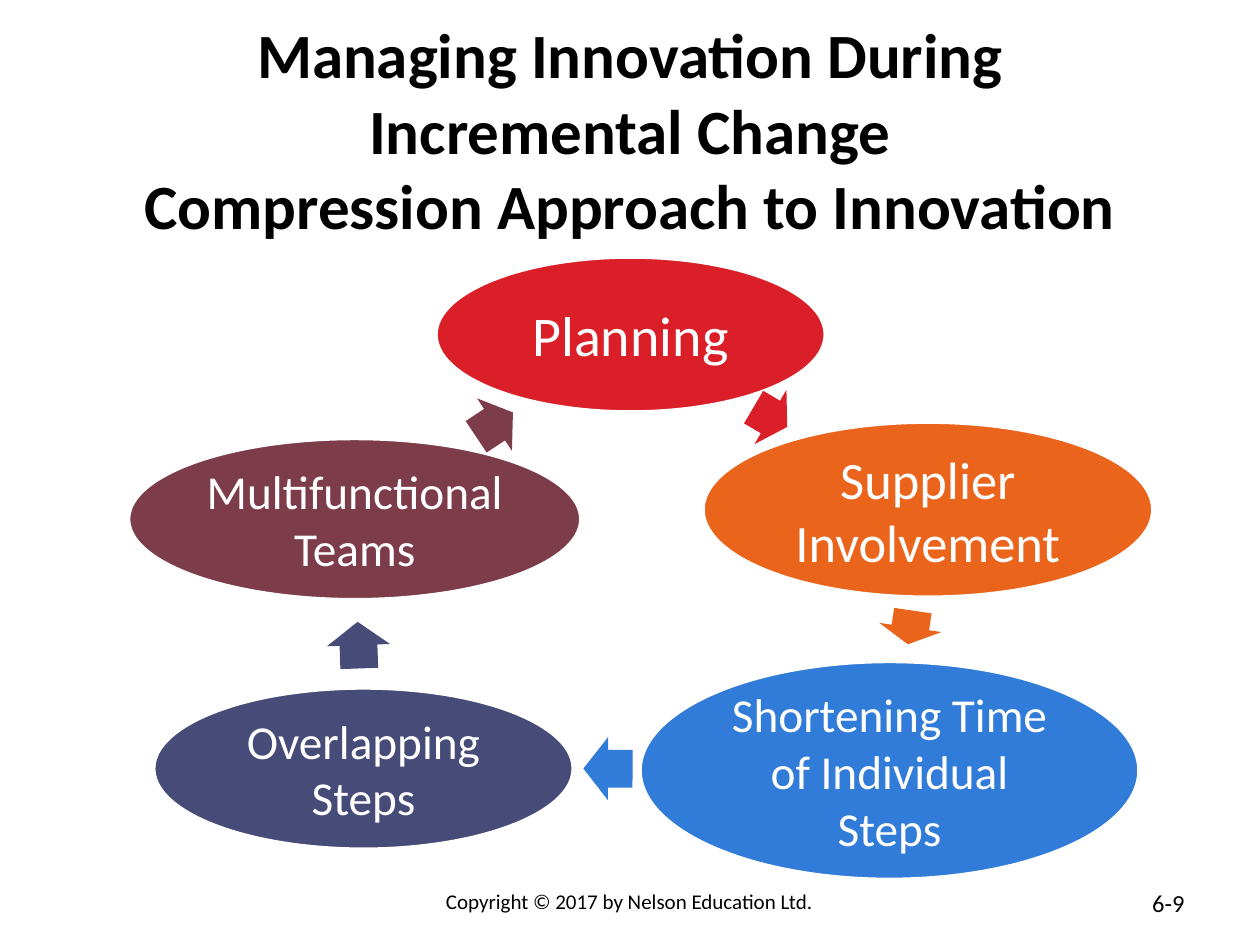
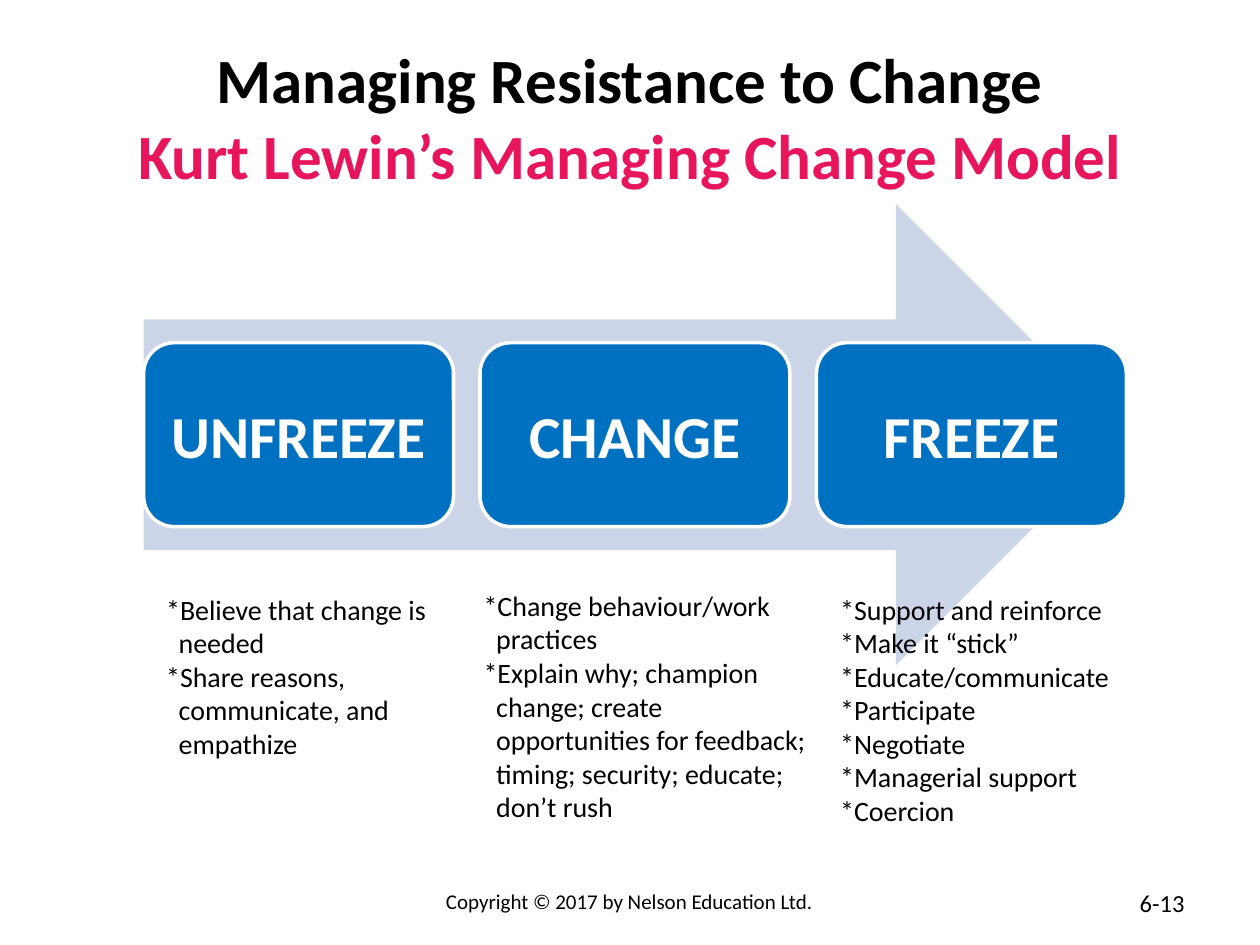
import pptx
import pptx.dml.color
import pptx.enum.shapes
import pptx.enum.text
import pptx.util
from dataclasses import dataclass

Inches = pptx.util.Inches
Pt = pptx.util.Pt
Shape = pptx.enum.shapes.MSO_SHAPE
Align = pptx.enum.text.PP_ALIGN
Anchor = pptx.enum.text.MSO_ANCHOR


@dataclass(frozen=True)
class Theme:
    font: str = "Calibri"
    black: str = "000000"
    white: str = "FFFFFF"
    pink: str = "E7155C"
    red: str = "DA1F28"
    orange: str = "EB641B"
    blue: str = "307CD8"
    indigo: str = "474B78"
    plum: str = "7D3C4A"
    card: str = "0070C0"
    pale: str = "CCD5E8"
    title_size: int = 36
    card_size: int = 34
    note_size: int = 16
    number_size: int = 14
    footer_size: int = 12
    outline: int = 2


theme = Theme()


def write(box, lines, size, color=theme.black, bold=False, align=Align.CENTER,
          anchor=Anchor.TOP, margin=None, hanging=0):
    """Fill a box with one paragraph per line; \\v breaks a line inside a paragraph."""
    frame = box.text_frame
    frame.word_wrap = True
    frame.vertical_anchor = anchor
    if margin is not None:
        frame.margin_left = frame.margin_right = Inches(margin)
        frame.margin_top = frame.margin_bottom = Inches(margin)
    for index, line in enumerate(lines):
        para = frame.add_paragraph() if index else frame.paragraphs[0]
        para.text = line
        para.alignment = align
        if hanging:
            properties = para._p.get_or_add_pPr()
            properties.set("marL", str(Inches(hanging)))
            properties.set("indent", str(-Inches(hanging)))
        para.font.name = theme.font
        para.font.size = Pt(size)
        para.font.bold = bold
        para.font.color.rgb = pptx.dml.color.RGBColor.from_string(color)


def add_solid(slide, kind, place, fill, outlined=False):
    """Add a flat preset shape, with a white outline if asked."""
    shape = slide.shapes.add_shape(kind, *map(Inches, place))
    shape.shadow.inherit = False
    shape.fill.solid()
    shape.fill.fore_color.rgb = pptx.dml.color.RGBColor.from_string(fill)
    if outlined:
        shape.line.color.rgb = pptx.dml.color.RGBColor.from_string(theme.white)
        shape.line.width = Pt(theme.outline)
    else:
        shape.line.fill.background()
    return shape


deck = pptx.Presentation()
deck.slide_width, deck.slide_height = Inches(10), Inches(7.5)

# Titles, footers and page numbers
pages = [
    (["Managing Innovation During", "Incremental Change",
      "Compression Approach to Innovation"], 1.45, "6-9"),
    (["Managing Resistance to Change",
      "Kurt Lewin’s Managing Change Model"], 1.25, "6-13"),
]
slides = []
for title_lines, title_height, number in pages:
    slide = deck.slides.add_slide(deck.slide_layouts[6])
    slides.append(slide)
    title = slide.shapes.add_textbox(Inches(0.5), Inches(0.3), Inches(9), Inches(title_height))
    write(title, title_lines, theme.title_size, bold=True, anchor=Anchor.MIDDLE)
    footer = slide.shapes.add_textbox(Inches(2.83), Inches(7), Inches(4.33), Inches(0.35))
    write(footer, ["Copyright © 2017 by Nelson Education Ltd."], theme.footer_size)
    page_number = slide.shapes.add_textbox(Inches(7.17), Inches(7), Inches(2.33), Inches(0.35))
    write(page_number, [number], theme.number_size, align=Align.RIGHT)
cycle_slide, model_slide = slides
model_title = model_slide.shapes[0].text_frame
model_title.paragraphs[1].font.color.rgb = pptx.dml.color.RGBColor.from_string(theme.pink)

# Cycle: each step is an ellipse followed by an arrow to the next one
steps = [
    ("Planning", 32, theme.red, (3.46, 2.04, 3.09, 1.23), (5.96, 3.06, 0.31, 0.5), 30.5),
    ("Supplier Involvement", 30, theme.orange,
     (5.58, 3.35, 3.57, 1.39), (7.09, 4.73, 0.27, 0.5), 98.4),
    ("Shortening Time of Individual Steps", 27, theme.blue,
     (5.08, 5.25, 3.96, 1.73), (4.63, 5.85, 0.39, 0.5), 180.2),
    ("Overlapping\vSteps", 27, theme.indigo,
     (1.22, 5.46, 3.33, 1.28), (2.66, 4.87, 0.37, 0.5), 267.9),
    ("Multifunctional Teams", 27, theme.plum,
     (1.02, 3.48, 3.59, 1.28), (3.75, 3.12, 0.35, 0.5), 326.4),
]
for label, size, color, ellipse_place, arrow_place, angle in steps:
    ellipse = add_solid(cycle_slide, Shape.OVAL, ellipse_place, color, outlined=True)
    write(ellipse, [label], size, theme.white, anchor=Anchor.MIDDLE, margin=0.04)
    arrow = add_solid(cycle_slide, Shape.RIGHT_ARROW, arrow_place, color)
    arrow.adjustments[0], arrow.adjustments[1] = 0.6, 0.5
    arrow.rotation = angle

# Change model: three stages on a broad arrow, with notes below
add_solid(model_slide, Shape.RIGHT_ARROW, (1.14, 1.62, 7.8, 3.66), theme.pale)
stages = [
    ("UNFREEZE", (1.22, 4.65, 2.28, 1.45), [
        "*Believe that change is\vneeded",
        "*Share reasons,\vcommunicate, and\vempathize",
    ]),
    ("CHANGE", (3.74, 4.62, 2.83, 1.99), [
        "*Change behaviour/work\vpractices",
        "*Explain why; champion\vchange; create\vopportunities for feedback;"
        "\vtiming; security; educate;\vdon’t rush",
    ]),
    ("FREEZE", (6.57, 4.65, 2.52, 1.99), [
        "*Support and reinforce",
        "*Make it “stick”",
        "*Educate/communicate",
        "*Participate",
        "*Negotiate",
        "*Managerial support",
        "*Coercion",
    ]),
]
for index, (stage, notes_place, notes) in enumerate(stages):
    card = add_solid(model_slide, Shape.ROUNDED_RECTANGLE,
                     (1.14 + 2.67 * index, 2.72, 2.46, 1.46), theme.card, outlined=True)
    write(card, [stage], theme.card_size, theme.white, bold=True,
          anchor=Anchor.MIDDLE, margin=0.1)
    notes_box = model_slide.shapes.add_textbox(*map(Inches, notes_place))
    write(notes_box, notes, theme.note_size, align=Align.LEFT, hanging=0.1)

deck.save("out.pptx")
